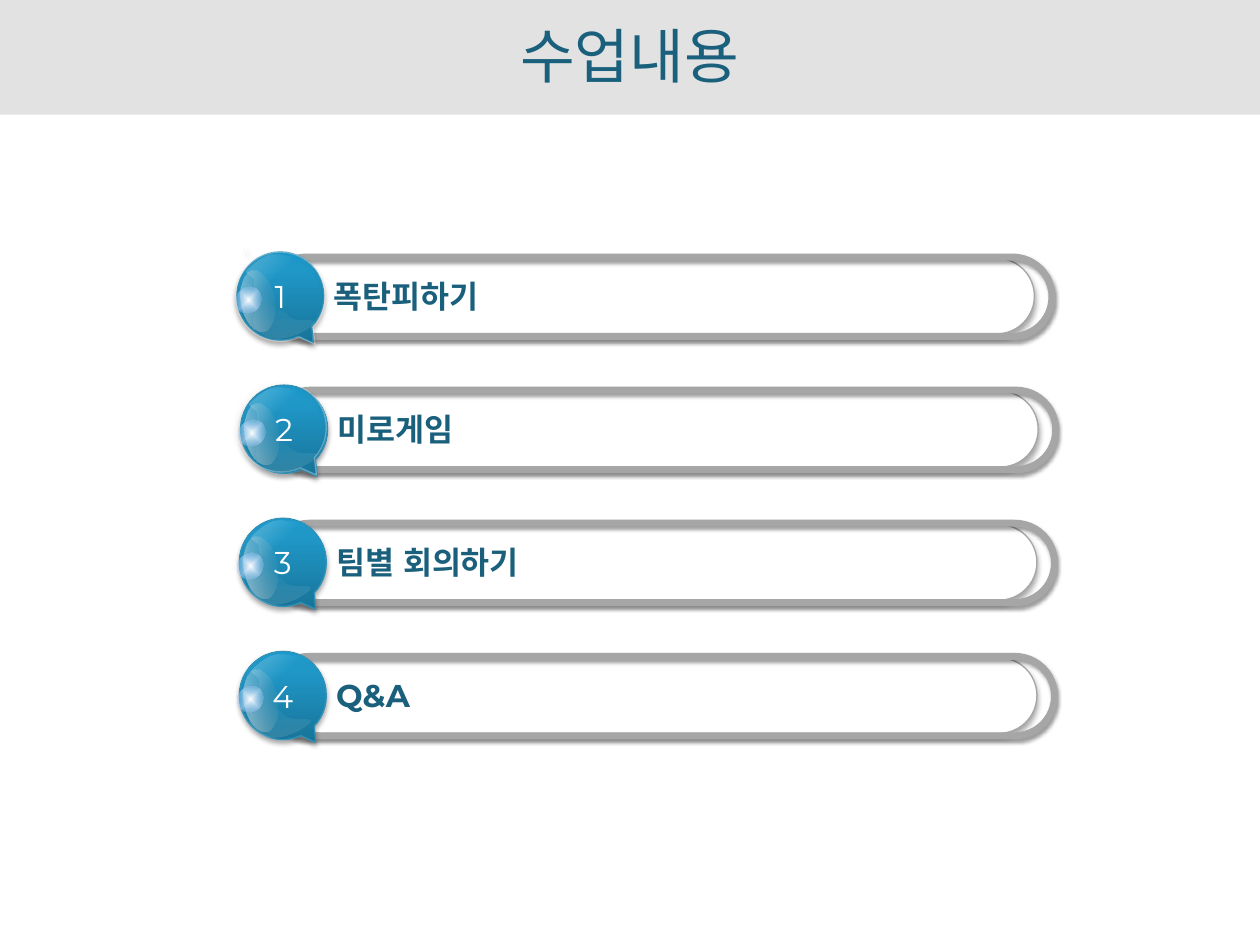
from math import cos, radians, sin

from lxml import etree
from pptx import Presentation
from pptx.dml.color import RGBColor
from pptx.enum.shapes import MSO_SHAPE as SHAPE
from pptx.enum.text import MSO_ANCHOR as ANCHOR, MSO_AUTO_SIZE as AUTO, PP_ALIGN as ALIGN
from pptx.oxml import parse_xml
from pptx.oxml.ns import nsdecls, qn
from pptx.util import Inches, Pt

TITLE = "수업내용"
# text, its width, left of the ball, number of glass rims, shifts of the rims, top and low sheens
ROWS = [
    ("폭탄피하기", 1.46, 1.88, 3, 0, 0, 0),
    ("미로게임", 1.21, 1.91, 1, -0.02, 0, 0),
    ("팀별 회의하기", 1.8, 1.90, 0, 0, 0.02, -0.05),
    ("Q&A", 0.83, 1.90, 0, 0, 0.02, -0.05),
]
TOP, LAST_TOP = 2.0, 5.17
PITCH = (LAST_TOP - TOP) / (len(ROWS) - 1)

TEAL = RGBColor(0x1A, 0x60, 0x7C)
WHITE = RGBColor(0xFF, 0xFF, 0xFF)
BAND = RGBColor(0xE2, 0xE2, 0xE2)
GRAY = RGBColor(0xA6, 0xA6, 0xA6)
RIM = RGBColor(0x30, 0x92, 0xB9)
LATIN, KOREAN = "Montserrat", "Noto Sans CJK KR"

# shadows: opacity, blur, distance
SOFT, STRONG = (35, 3.1, 1.8), (40, 2, 1.5)

# gradients: stops (position, colour, opacity), then an angle or (path, focus)
BALL = [(0, "18759A", 100), (80, "1F98C8", 100), (100, "1C9ACC", 100)], 270
GLOW = [(0, "FFFFFF", 50), (100, "B6B6B6", 0)], 90
SPARK = [(0, "FFFFFF", 100), (100, "67ABF5", 0)], ("shape", (50, 50, 50, 50))
GLASS = [(63, "FFFFFF", 0), (100, "FFFFFF", 100)], ("circle", (50, 50, 50, 50))
EDGE = [(78, "FFFFFF", 0), (100, "FFFFFF", 100), (100, "1C9ACC", 100)], ("circle", (100, 100, 0, 0))
TOP_GLOSS = [(50, "FFFFFF", 0), (74, "FFFFFF", 19), (100, "FFFFFF", 0)], ("circle", (100, 100, 0, 0))
LOW_GLOSS = [(0, "FFFFFF", 0), (28, "FFFFFF", 0), (74, "FFFFFF", 11)], 45

# glass rims, relative to the ball: left, top, size, rotation, gradient, line opacity
RIMS = [(-0.01, 0, 0.71, 305.4, GLASS, 30),
        (-0.02, -0.01, 0.73, 125.4, EDGE, None),
        (-0.02, -0.01, 0.73, 305.4, EDGE, None)]

# sheens, relative to the ball: centre, rotation, gradient, start, Bezier curves
TOP_SHEEN = ((0.325, 0.195), 35.4, TOP_GLOSS, (0.08, 0.14), [
    ((0.06, 0.17), (0.12, 0.19), (0.13, 0.21)), ((0.15, 0.24), (0.11, 0.31), (0.17, 0.3)),
    ((0.22, 0.32), (0.42, 0.18), (0.49, 0.21)), ((0.56, 0.23), (0.55, 0.25), (0.56, 0.22)),
    ((0.57, 0.2), (0.57, 0.11), (0.53, 0.07)), ((0.48, 0.04), (0.35, 0.01), (0.27, 0.02)),
    ((0.2, 0.03), (0.11, 0.11), (0.08, 0.14))])
LOW_SHEEN = ((0.315, 0.525), 42.7, LOW_GLOSS, (0.14, 0.36), [
    ((0.14, 0.38), (0.13, 0.46), (0.13, 0.5)), ((0.13, 0.54), (0.12, 0.59), (0.15, 0.61)),
    ((0.17, 0.64), (0.22, 0.67), (0.26, 0.68)), ((0.3, 0.69), (0.34, 0.69), (0.39, 0.68)),
    ((0.43, 0.67), (0.49, 0.65), (0.52, 0.63)), ((0.56, 0.61), (0.62, 0.57), (0.61, 0.55)),
    ((0.59, 0.53), (0.49, 0.55), (0.45, 0.53)), ((0.4, 0.52), (0.38, 0.47), (0.33, 0.45)),
    ((0.29, 0.42), (0.21, 0.41), (0.18, 0.39)), ((0.14, 0.38), (0.15, 0.34), (0.14, 0.36))])


def set_alpha(color, percent):
    if percent < 100:
        etree.SubElement(color, qn("a:alpha")).set("val", str(percent * 1000))


def set_gradient(sp, stops, direction):
    grad = parse_xml(f'<a:gradFill {nsdecls("a")} rotWithShape="1"><a:gsLst/></a:gradFill>')
    for pos, color, alpha in stops:
        gs = etree.SubElement(grad[0], qn("a:gs"), pos=str(pos * 1000))
        set_alpha(etree.SubElement(gs, qn("a:srgbClr"), val=color), alpha)
    if isinstance(direction, tuple):
        kind, focus = direction
        shade = etree.SubElement(grad, qn("a:path"), {"path": kind})
        etree.SubElement(shade, qn("a:fillToRect"),
                         {side: str(v * 1000) for side, v in zip("ltrb", focus)})
    else:
        etree.SubElement(grad, qn("a:lin"), ang=str(direction * 60000), scaled="0")
    sp.fill.background()
    spPr = sp.element.spPr
    spPr.replace(spPr.find(qn("a:noFill")), grad)


def style(sp, fill=None, line=None, width=0.75, line_alpha=None, shadow=None, rotation=0, flip=False):
    """Format a shape; fill is a colour, a gradient (stops, direction) or None."""
    sp.rotation = rotation
    if flip:
        sp.element.spPr.find(qn("a:xfrm")).set("flipH", "1")
    if fill is None:
        sp.fill.background()
    elif isinstance(fill, RGBColor):
        sp.fill.solid()
        sp.fill.fore_color.rgb = fill
    else:
        set_gradient(sp, *fill)
    if line is None:
        sp.line.fill.background()
    else:
        sp.line.color.rgb = line
        sp.line.width = Pt(width)
        if line_alpha:
            set_alpha(sp.element.spPr.find(f'{qn("a:ln")}//{qn("a:srgbClr")}'), line_alpha)
    sp.shadow.inherit = False
    if shadow:
        alpha, blur, dist = shadow
        effect = etree.SubElement(
            sp.element.spPr.find(qn("a:effectLst")), qn("a:outerShdw"),
            blurRad=str(Pt(blur)), dist=str(Pt(dist)), dir="5400000", rotWithShape="0")
        set_alpha(etree.SubElement(effect, qn("a:srgbClr"), val="000000"), alpha)


def add_shape(shapes, kind, x, y, w, h, **fmt):
    sp = shapes.add_shape(kind, Inches(x), Inches(y), Inches(w), Inches(h))
    style(sp, **fmt)
    return sp


def write(tf, text, size=18, font=LATIN, color=TEAL, bold=False, align=None, anchor=None):
    p = tf.paragraphs[0]
    p.alignment = align
    if anchor is not None:
        tf.vertical_anchor = anchor
    r = p.add_run()
    r.text = text
    r.font.size, r.font.name, r.font.bold = Pt(size), font, bold
    r.font.color.rgb = color
    etree.SubElement(r.font._element, qn("a:ea"), typeface=font)


def add_sheen(shapes, x, y, center, rotation, gradient, start, curves):
    """Draw a curved outline whose points are given as seen after rotation."""
    co, si = cos(radians(rotation)), sin(radians(rotation))
    cx, cy = center
    points = [start] + [point for curve in curves for point in curve]
    flat = [(Inches(x + cx + (px - cx) * co + (py - cy) * si),
             Inches(y + cy - (px - cx) * si + (py - cy) * co)) for px, py in points]
    builder = shapes.build_freeform(*flat[0])
    builder.add_line_segments(flat[1:], close=True)
    sp = builder.convert_to_shape()
    lines = list(sp.element.iter(qn("a:lnTo")))
    for i in range(0, 3 * len(curves), 3):  # three line ends become one Bezier curve
        curve = etree.Element(qn("a:cubicBezTo"))
        lines[i].addprevious(curve)
        for line in lines[i:i + 3]:
            curve.append(line[0])
            line.getparent().remove(line)
    style(sp, fill=gradient, rotation=rotation)


def add_row(s, number, y, text, text_width, x, rims, rim_shift, top_shift, low_shift):
    shapes = s.shapes.add_group_shape().shapes
    bar = add_shape(shapes, SHAPE.ROUNDED_RECTANGLE, x + 0.35, y + 0.05, 5.98, 0.6,
                    fill=WHITE, line=GRAY, shadow=SOFT, flip=True)
    frame = add_shape(shapes, SHAPE.ROUNDED_RECTANGLE, x + 0.24, y + 0.04, 6.23, 0.63,
                      line=GRAY, width=4, shadow=STRONG, flip=True)
    bar.adjustments[0] = frame.adjustments[0] = 0.5

    tf = shapes.add_textbox(Inches(x + 0.67), Inches(y + 0.15),
                            Inches(text_width), Inches(0.4)).text_frame
    tf.word_wrap, tf.auto_size = False, AUTO.SHAPE_TO_FIT_TEXT
    write(tf, text, bold=True)

    ball = add_shape(shapes, SHAPE.OVAL_CALLOUT, x, y, 0.69, 0.7,
                     fill=BALL, line=RIM, shadow=SOFT)
    ball.adjustments[0], ball.adjustments[1] = 0.377, 0.533
    write(ball.text_frame, str(number), color=WHITE, align=ALIGN.CENTER, anchor=ANCHOR.MIDDLE)

    add_shape(shapes, SHAPE.OVAL, x - 0.08, y + 0.26, 0.49, 0.26, fill=GLOW, rotation=260.4)
    add_shape(shapes, SHAPE.OVAL, x - 0.02, y + 0.28, 0.22, 0.2,
              fill=SPARK, rotation=305.4, flip=True)
    for dx, dy, size, rotation, gradient, alpha in RIMS[:rims]:
        add_shape(shapes, SHAPE.OVAL_CALLOUT, x + dx + rim_shift, y + dy + rim_shift, size, size,
                  fill=gradient, line=WHITE if alpha else None, line_alpha=alpha,
                  shadow=SOFT, rotation=rotation)
    add_sheen(shapes, x + top_shift, y, *TOP_SHEEN)
    add_sheen(shapes, x + low_shift, y, *LOW_SHEEN)


def main():
    prs = Presentation()
    prs.slide_width, prs.slide_height = Inches(10), Inches(7.5)
    s = prs.slides.add_slide(prs.slide_layouts[5])

    band = add_shape(s.shapes, SHAPE.RECTANGLE, 0, 0, 10, 0.91, fill=BAND)
    title = s.shapes.title
    title.element.addprevious(band.element)
    title.left, title.top, title.width, title.height = map(Inches, (0.15, 0.05, 9.69, 0.77))
    write(title.text_frame, TITLE, size=34, font=KOREAN, align=ALIGN.CENTER, anchor=ANCHOR.MIDDLE)

    for i, row in enumerate(ROWS):
        add_row(s, i + 1, TOP + i * PITCH, *row)
    prs.save("out.pptx")


if __name__ == "__main__":
    main()
